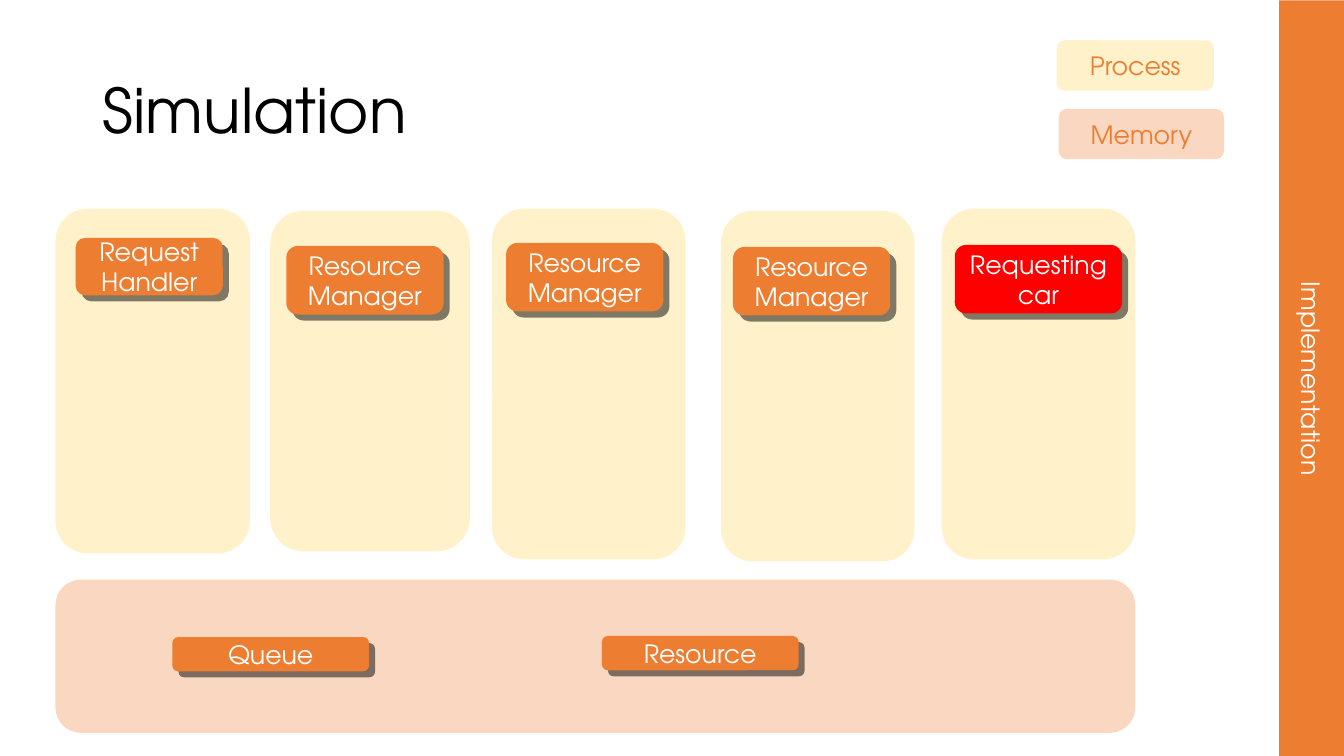
from dataclasses import dataclass

from lxml import etree
from pptx import Presentation
from pptx import util as u
from pptx.dml.color import RGBColor
from pptx.enum import shapes, text
from pptx.oxml.ns import qn


@dataclass(frozen=True)
class Theme:
    font: str = "TeX Gyre Adventor"
    title_size: int = 44
    label_size: int = 18
    process: str = "FFE699"
    memory: str = "F4B183"
    accent: str = "ED7D31"
    alert: str = "FF0000"
    dark: str = "000000"
    light: str = "FFFFFF"
    opacity: int = 50
    shadow_offset: float = 0.06


class SlideBuilder:
    def __init__(self, page, theme):
        self.page = page
        self.theme = theme

    def add_words(self, frame, words, size, colour, align):
        frame.word_wrap = True
        frame.vertical_anchor = text.MSO_ANCHOR.MIDDLE
        para = frame.paragraphs[0]
        para.alignment = align
        span = para.add_run()
        span.text = words
        span.font.name = self.theme.font
        span.font.size = u.Pt(size)
        span.font.color.rgb = RGBColor.from_string(colour)
        return para

    def title(self, words, left, top, width, height):
        box = self.page.shapes.title
        box.left, box.top = u.Inches(left), u.Inches(top)
        box.width, box.height = u.Inches(width), u.Inches(height)
        para = self.add_words(box.text_frame, words, self.theme.title_size,
                              self.theme.dark, text.PP_ALIGN.LEFT)
        para.line_spacing = 0.9

    def block(self, left, top, width, height, colour, words="", ink=None,
              opacity=100, kind=shapes.MSO_SHAPE.ROUNDED_RECTANGLE):
        box = self.page.shapes.add_shape(kind, u.Inches(left), u.Inches(top),
                                         u.Inches(width), u.Inches(height))
        box.shadow.inherit = False
        box.line.fill.background()
        box.fill.solid()
        box.fill.fore_color.rgb = RGBColor.from_string(colour)
        if opacity < 100:
            tint = box.element.spPr.find(qn("a:solidFill"))[0]
            etree.SubElement(tint, qn("a:alpha")).set("val", str(opacity * 1000))
        if words:
            self.add_words(box.text_frame, words, self.theme.label_size,
                           ink or self.theme.light, text.PP_ALIGN.CENTER)
        return box

    def panel(self, left, top, width, height, colour, words=""):
        self.block(left, top, width, height, colour, words,
                   self.theme.accent, self.theme.opacity)

    def raised_label(self, words, left, top, width, height, colour):
        shift = self.theme.shadow_offset
        self.block(left + shift, top + shift, width, height, self.theme.dark,
                   opacity=self.theme.opacity)
        self.block(left, top, width, height, colour, words)

    def side_band(self, words, left, top, width, height):
        band = self.block(left, top, width, height, self.theme.accent, words,
                          kind=shapes.MSO_SHAPE.RECTANGLE)
        band.rotation = 90


def main():
    theme = Theme()
    deck = Presentation()
    deck.slide_width, deck.slide_height = u.Inches(13.33), u.Inches(7.5)
    page = deck.slides.add_slide(deck.slide_layouts.get_by_name("Title Only"))
    builder = SlideBuilder(page, theme)

    builder.title("Simulation", 0.92, 0.4, 11.5, 1.45)

    # Process columns, each with its raised label
    manager = "Resource Manager"
    columns = [
        ((0.55, 2.07, 1.93, 3.42), "Request Handler", (0.75, 2.36, 1.46, 0.57), theme.accent),
        ((2.68, 2.09, 1.98, 3.38), manager, (2.84, 2.44, 1.56, 0.68), theme.accent),
        ((4.88, 2.07, 1.92, 3.48), manager, (5.02, 2.41, 1.56, 0.68), theme.accent),
        ((7.15, 2.09, 1.92, 3.48), manager, (7.27, 2.45, 1.56, 0.68), theme.accent),
        ((9.34, 2.07, 1.92, 3.48), "Requesting car", (9.47, 2.43, 1.66, 0.68), theme.alert),
    ]
    for column, words, label, colour in columns:
        builder.panel(*column, theme.process)
        builder.raised_label(words, *label, colour)

    # Shared memory and its contents
    builder.panel(0.55, 5.75, 10.71, 1.52, theme.memory)
    for words, left, top in [("Queue", 1.71, 6.32), ("Resource", 5.97, 6.31)]:
        builder.raised_label(words, left, top, 1.95, 0.34, theme.accent)

    # Legend
    builder.panel(10.48, 0.4, 1.56, 0.5, theme.process, "Process")
    builder.panel(10.5, 1.08, 1.64, 0.5, theme.memory, "Memory")

    # Section band on the right edge
    builder.side_band("Implementation", 9.26, 3.43, 7.5, 0.65)

    deck.save("out.pptx")


if __name__ == "__main__":
    main()
